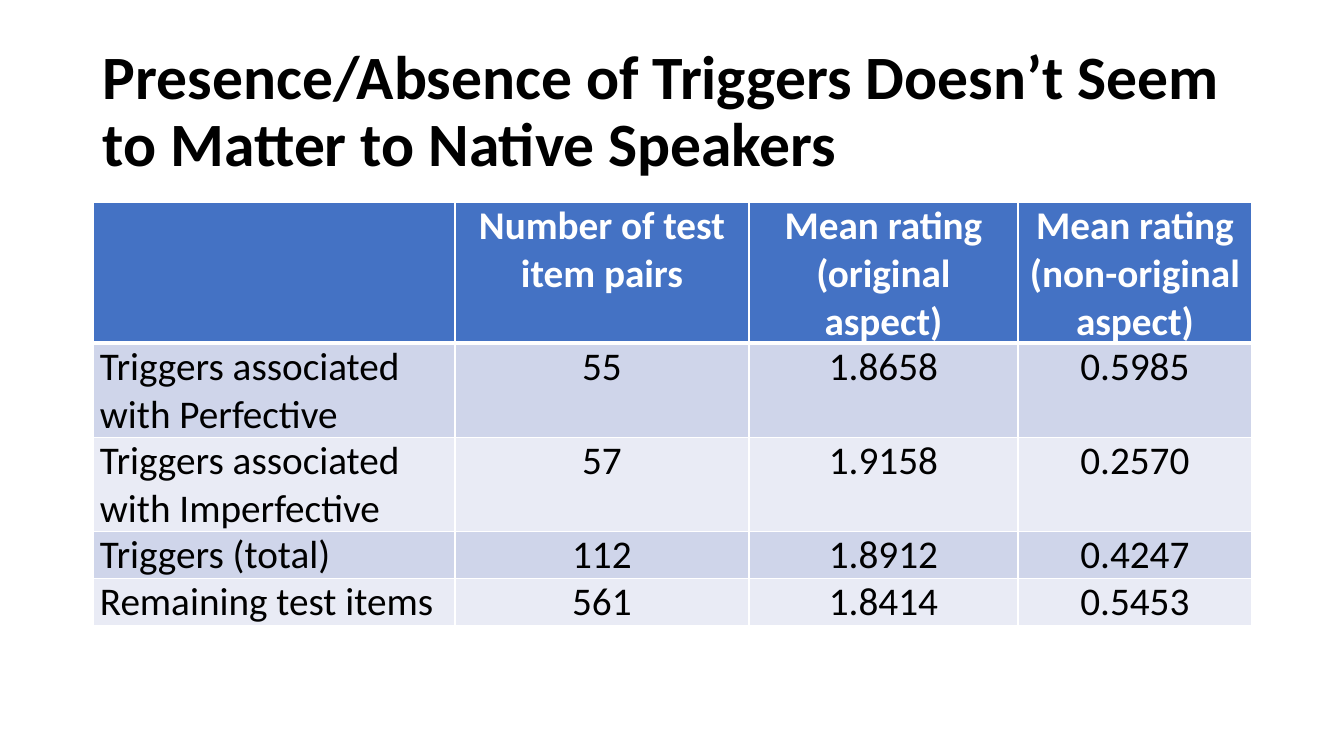
from pptx import Presentation
from pptx.dml.color import RGBColor as Rgb
from pptx.enum.text import MSO_ANCHOR as Anchor, PP_ALIGN as Align
from pptx.oxml import parse_xml
from pptx.oxml.ns import nsdecls
from pptx.util import Pt

SCALE = 914400 / 100.8
COLOURS = {"black": "000000", "white": "FFFFFF", "header": "4472C4",
           "band_dark": "CFD5EA", "band_light": "E9EBF5"}


def px(length):
    return round(length * SCALE)


class SlideBuilder:
    font = "Calibri"

    def __init__(self, page):
        self.page = page

    def set_text(self, frame, text, size, colour, bold, align):
        frame.word_wrap = True
        frame.text = text
        for para in frame.paragraphs:
            para.alignment = align
            para.font.name = self.font
            para.font.size = Pt(size)
            para.font.bold = bold
            para.font.color.rgb = Rgb.from_string(COLOURS[colour])

    def title(self, text, left, top, width, height):
        box = self.page.shapes.add_textbox(px(left), px(top), px(width), px(height))
        frame = box.text_frame
        self.set_text(frame, text, 44, "black", True, Align.LEFT)
        frame.vertical_anchor = Anchor.MIDDLE
        frame.paragraphs[0].line_spacing = 0.9

    def border(self, cell, side, points):
        cell._tc.get_or_add_tcPr().append(parse_xml(
            f'<a:ln{side} {nsdecls("a")} w="{Pt(points)}"><a:solidFill>'
            f'<a:srgbClr val="{COLOURS["white"]}"/></a:solidFill></a:ln{side}>'))

    def cell(self, cell, text, row, column):
        is_header = row == 0
        cell.margin_left = cell.margin_right = px(7)
        cell.margin_top = cell.margin_bottom = 0
        # The rule between header and body is thicker than the grid
        widths = {"L": 1, "R": 1, "T": 3 if row == 1 else 1, "B": 3 if is_header else 1}
        for side, points in widths.items():
            self.border(cell, side, points)
        band = "header" if is_header else "band_dark" if row % 2 else "band_light"
        cell.fill.solid()
        cell.fill.fore_color.rgb = Rgb.from_string(COLOURS[band])
        self.set_text(cell.text_frame, text, 28, "white" if is_header else "black",
                      is_header, Align.CENTER if column else Align.LEFT)

    def table(self, rows, left, top, widths, heights):
        table = self.page.shapes.add_table(
            len(rows), len(widths), px(left), px(top),
            px(sum(widths)), px(sum(heights))).table
        for column, width in zip(table.columns, widths):
            column.width = px(width)
        for table_row, height in zip(table.rows, heights):
            table_row.height = px(height)
        for r, texts in enumerate(rows):
            for c, text in enumerate(texts):
                self.cell(table.cell(r, c), text, r, c)


deck = Presentation()
deck.slide_width, deck.slide_height = px(1344), px(756)
slide = SlideBuilder(deck.slides.add_slide(deck.slide_layouts[6]))

# Title
slide.title("Presence/Absence of Triggers Doesn’t Seem to Matter to Native Speakers",
            93, 40, 1159, 146)

# Ratings table: row heights follow the number of text lines
ratings = [
    ("", "Number of test item pairs", "Mean rating\n(original aspect)",
     "Mean rating\n(non-original aspect)"),
    ("Triggers associated with Perfective", "55", "1.8658", "0.5985"),
    ("Triggers associated with Imperfective", "57", "1.9158", "0.2570"),
    ("Triggers (total)", "112", "1.8912", "0.4247"),
    ("Remaining test items", "561", "1.8414", "0.5453"),
]
line_counts = [3, 2, 2, 1, 1]
slide.table(ratings, 93, 202, [362, 294, 269, 234], [47 * n for n in line_counts])

deck.save("out.pptx")
